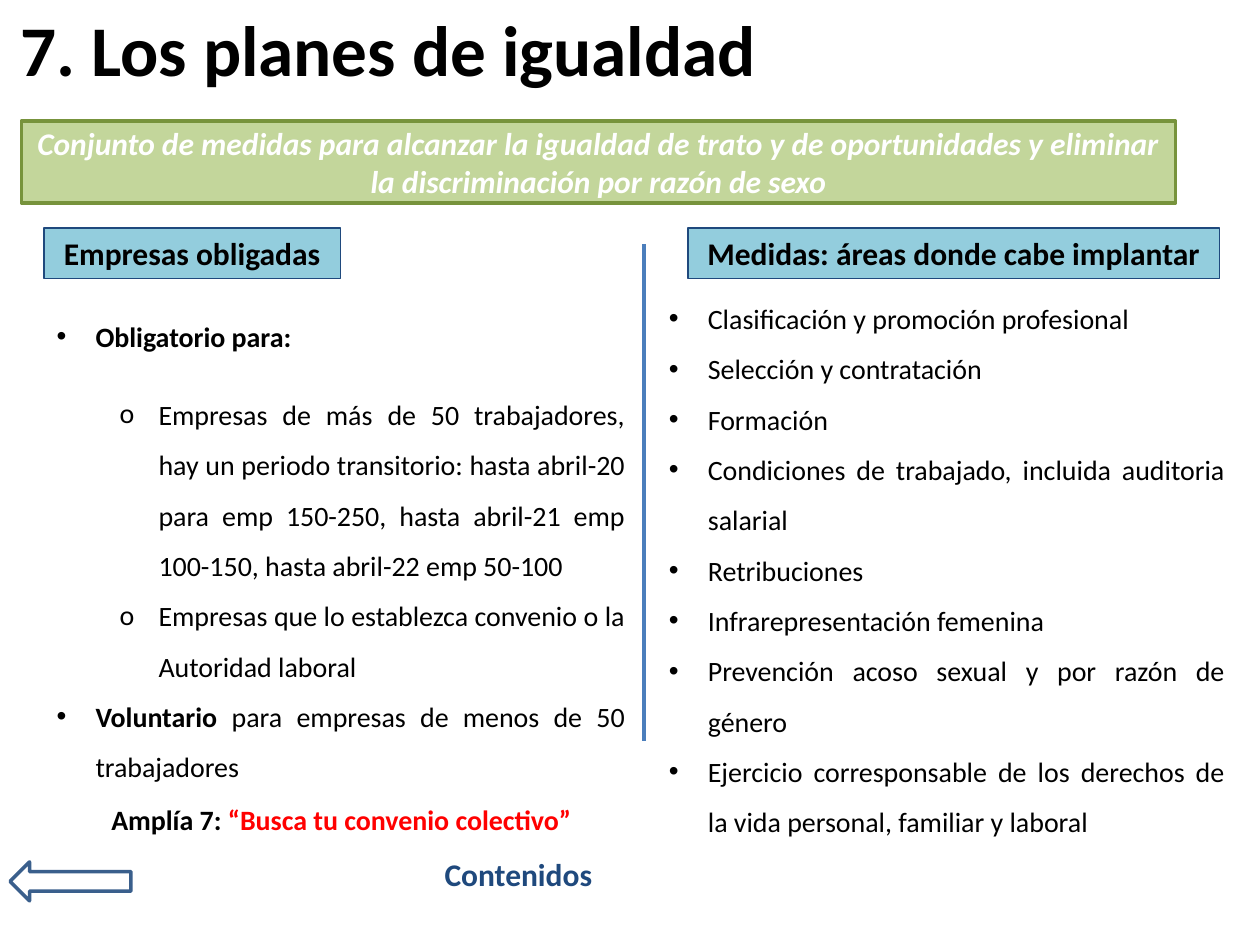
from dataclasses import dataclass

from lxml import etree
from pptx import Presentation
from pptx import util as u
from pptx.dml.color import RGBColor
from pptx.enum import shapes, text
from pptx.oxml.ns import qn


@dataclass(frozen=True)
class Theme:
    """Colours, font and type sizes of the slide."""
    font: str = "Calibri"
    ink: str = "000000"
    white: str = "FFFFFF"
    navy: str = "1F497D"
    red: str = "FF0000"
    banner: str = "C3D69B"
    banner_edge: str = "77933C"
    label: str = "93CDDD"
    divider: str = "4B7EBC"
    arrow: str = "3A5F8C"
    title_size: float = 40.7
    heading_size: float = 18
    body_size: float = 16


@dataclass(frozen=True)
class Box:
    """A region measured in columns and rows of the slide grid."""
    column: float
    row: float
    columns: float
    rows: float

    def place(self):
        """Return left, top, width and height as lengths."""
        cells = (self.column, self.row, self.columns, self.rows)
        return [u.Emu(round(cell * CELL)) for cell in cells]


THEME = Theme()
COLUMNS, ROWS = 100, 75
CELL = u.Inches(0.1)
INDENT, STEP = u.Inches(0.31), u.Inches(0.5)
CENTER = text.PP_ALIGN.CENTER

MEASURES = [
    "Clasificación y promoción profesional",
    "Selección y contratación",
    "Formación",
    "Condiciones de trabajado, incluida auditoria salarial",
    "Retribuciones",
    "Infrarepresentación femenina",
    "Prevención acoso sexual y por razón de género",
    "Ejercicio corresponsable de los derechos de la vida personal, familiar y laboral",
]
COMPANIES = [
    (0, [("Obligatorio para:", True)], 16),
    (1, [("Empresas de más de 50 trabajadores, hay un periodo transitorio: "
          "hasta abril-20 para emp 150-250, hasta abril-21 emp 100-150, "
          "hasta abril-22 emp 50-100", False)], 0),
    (1, [("Empresas que lo establezca convenio o la Autoridad laboral", False)], 0),
    (0, [("Voluntario ", True), ("para empresas de menos de 50 trabajadores", False)], 0),
]


def rgb(colour):
    """Turn a hex string into a colour."""
    return RGBColor.from_string(colour)


def set_font(font, size, colour, bold=False, italic=False):
    """Format a font with the theme typeface."""
    font.name, font.size = THEME.font, u.Pt(size)
    font.bold, font.italic = bold, italic
    font.color.rgb = rgb(colour)


def add_panel(slide, box, kind, edge, weight, fill=None):
    """Add a preset shape with an outline and an optional fill."""
    shape = slide.shapes.add_shape(kind, *box.place())
    shape.shadow.inherit = False
    shape.line.color.rgb, shape.line.width = rgb(edge), u.Pt(weight)
    if fill:
        shape.fill.solid()
        shape.fill.fore_color.rgb = rgb(fill)
    else:
        shape.fill.background()
    return shape


def add_text(slide, box, wrap=True):
    """Add a text box and return its frame."""
    frame = slide.shapes.add_textbox(*box.place()).text_frame
    frame.word_wrap = wrap
    return frame


def set_bullet(paragraph, level):
    """Give a paragraph a hanging bullet for its level."""
    paragraph.level = level
    properties = paragraph._p.get_or_add_pPr()
    properties.set("marL", str(INDENT + level * STEP))
    properties.set("indent", str(-INDENT))
    etree.SubElement(properties, qn("a:buFont")).set("typeface", ("Arial", THEME.font)[level])
    etree.SubElement(properties, qn("a:buChar")).set("char", "•o"[level])


def add_title(slide, box):
    """Move, fill and format the title placeholder."""
    title = slide.shapes.title
    title.left, title.top, title.width, title.height = box.place()
    frame = title.text_frame
    frame.text = "7. Los planes de igualdad"
    frame.auto_size = text.MSO_AUTO_SIZE.NONE
    frame.vertical_anchor = text.MSO_ANCHOR.MIDDLE
    frame.paragraphs[0].alignment = text.PP_ALIGN.LEFT
    set_font(frame.paragraphs[0].font, THEME.title_size, THEME.ink, bold=True)


def add_banner(slide, box):
    """Add the definition banner."""
    shape = add_panel(slide, box, shapes.MSO_SHAPE.RECTANGLE, THEME.banner_edge, 2, THEME.banner)
    frame = shape.text_frame
    frame.text = ("Conjunto de medidas para alcanzar la igualdad de trato y de "
                  "oportunidades y eliminar la discriminación por razón de sexo")
    frame.word_wrap = True
    frame.paragraphs[0].alignment = CENTER
    set_font(frame.paragraphs[0].font, THEME.heading_size, THEME.white, bold=True, italic=True)


def add_label(slide, box, wording):
    """Add the coloured heading of a column."""
    shape = add_panel(slide, box, shapes.MSO_SHAPE.RECTANGLE, THEME.navy, 0.75, THEME.label)
    shape.text_frame.text = wording
    paragraph = shape.text_frame.paragraphs[0]
    paragraph.alignment = CENTER
    set_font(paragraph.font, THEME.heading_size, THEME.ink, bold=True)


def add_list(slide, box, items):
    """Add a justified bullet list of (level, runs, space after) items."""
    frame = add_text(slide, box)
    for index, (level, runs, space) in enumerate(items):
        paragraph = frame.add_paragraph() if index else frame.paragraphs[0]
        paragraph.alignment = text.PP_ALIGN.JUSTIFY
        paragraph.line_spacing = 1.5
        paragraph.space_after = u.Pt(space)
        set_bullet(paragraph, level)
        for wording, bold in runs:
            run = paragraph.add_run()
            run.text = wording
            set_font(run.font, THEME.body_size, THEME.ink, bold)


def add_divider(slide, box):
    """Add the line between the two columns."""
    left, top, width, height = box.place()
    line = slide.shapes.add_connector(
        shapes.MSO_CONNECTOR.STRAIGHT, left, top, left + width, top + height)
    line.line.color.rgb, line.line.width = rgb(THEME.divider), u.Pt(2)
    etree.SubElement(line._element.spPr, qn("a:effectLst"))


def add_activity(slide, box):
    """Add the two-colour pointer to the follow-up activity."""
    paragraph = add_text(slide, box, wrap=False).paragraphs[0]
    paragraph.alignment = CENTER
    for wording, colour in (("Amplía 7: ", THEME.ink),
                            ("“Busca tu convenio colectivo”", THEME.red)):
        run = paragraph.add_run()
        run.text = wording
        set_font(run.font, THEME.body_size, colour, bold=True)


def add_navigation(slide, arrow_box, contents_box):
    """Add the back arrow and the contents caption."""
    add_panel(slide, arrow_box, shapes.MSO_SHAPE.LEFT_ARROW, THEME.arrow, 2)
    frame = add_text(slide, contents_box)
    frame.text = "Contenidos"
    set_font(frame.paragraphs[0].font, THEME.heading_size, THEME.navy, bold=True)


def main():
    """Build and save the slide."""
    presentation = Presentation()
    presentation.slide_width, presentation.slide_height = COLUMNS * CELL, ROWS * CELL
    slide = presentation.slides.add_slide(presentation.slide_layouts.get_by_name("Title Only"))
    add_title(slide, Box(0.6, 0, 96.2, 7.6))
    add_banner(slide, Box(1.7, 9.6, 91.6, 6.5))
    add_list(slide, Box(52.1, 22.1, 46.1, 45), [(0, [(item, False)], 0) for item in MEASURES])
    add_list(slide, Box(3.5, 23.5, 47.1, 39.2), COMPANIES)
    add_divider(slide, Box(51.1, 19.4, 0, 39.4))
    add_label(slide, Box(3.5, 18.1, 23.5, 4), "Empresas obligadas")
    add_label(slide, Box(54.6, 18.1, 42.2, 4), "Medidas: áreas donde cabe implantar")
    add_activity(slide, Box(7.6, 63.2, 39, 3.7))
    add_navigation(slide, Box(0.8, 68.4, 9.6, 3.1), Box(34.3, 67.4, 14.4, 4))
    presentation.save("out.pptx")


if __name__ == "__main__":
    main()
